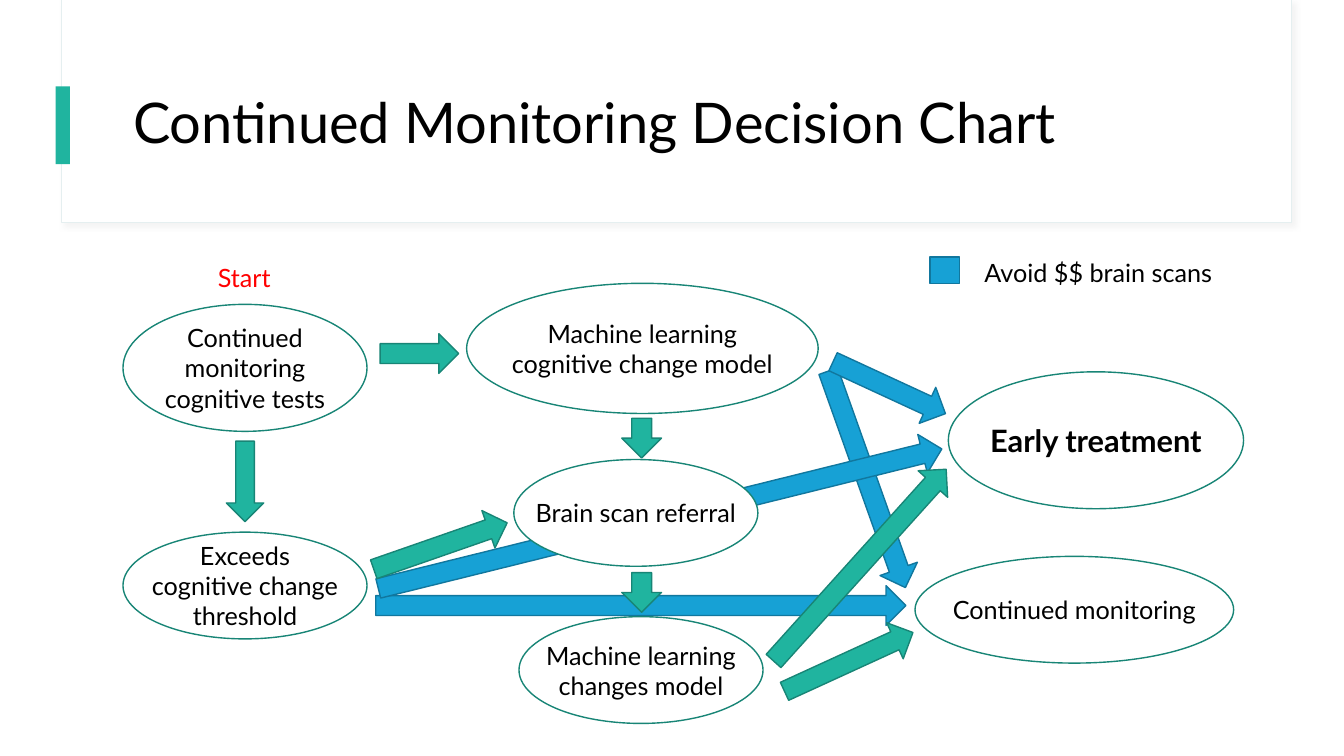
from lxml import etree
from pptx import Presentation
from pptx.dml.color import RGBColor
from pptx.enum.shapes import MSO_SHAPE
from pptx.enum.text import MSO_ANCHOR, MSO_AUTO_SIZE, PP_ALIGN
from pptx.util import Cm, Pt

RECTANGLE, ELLIPSE, ARROW = MSO_SHAPE.RECTANGLE, MSO_SHAPE.OVAL, MSO_SHAPE.RIGHT_ARROW
LEFT, CENTER = PP_ALIGN.LEFT, PP_ALIGN.CENTER
MIDDLE, NO_AUTOFIT = MSO_ANCHOR.MIDDLE, MSO_AUTO_SIZE.NONE
FONT = "Lato"
COLORS = {
    "white": "FFFFFF", "black": "000000", "red": "FF0000",
    "green": "20B49F", "green edge": "188576",
    "blue": "17A1D5", "blue edge": "11779E", "frame edge": "E5EFF0",
}
FRAME_SHADOW = """
<a:effectLst xmlns:a="http://schemas.openxmlformats.org/drawingml/2006/main">
  <a:outerShdw blurRad="50800" dist="38100" dir="2700000" algn="tl" rotWithShape="0">
    <a:srgbClr val="D9D9D9"><a:alpha val="30000"/></a:srgbClr>
  </a:outerShdw>
</a:effectLst>"""

presentation = Presentation()
presentation.slide_width, presentation.slide_height = Cm(33.87), Cm(19.05)
slide = presentation.slides.add_slide(presentation.slide_layouts[5])


def add_shape(kind, box, fill, edge=None, width=1, rotation=0):
    shape = slide.shapes.add_shape(kind, *map(Cm, box))
    shape.shadow.inherit = False
    shape.rotation = rotation
    shape.fill.solid()
    shape.fill.fore_color.rgb = RGBColor.from_string(COLORS[fill])
    if edge:
        shape.line.color.rgb = RGBColor.from_string(COLORS[edge])
        shape.line.width = Pt(width)
    else:
        shape.line.fill.background()
    return shape


def write_text(shape, text, size=18, color="black", bold=False, align=CENTER, wrap=False, spacing=1.0):
    frame = shape.text_frame
    frame.text = text
    frame.word_wrap = wrap
    frame.auto_size = NO_AUTOFIT
    frame.vertical_anchor = MIDDLE
    for paragraph in frame.paragraphs:
        paragraph.alignment = align
        paragraph.line_spacing = spacing
        paragraph.font.name = FONT
        paragraph.font.size = Pt(size)
        paragraph.font.bold = bold
        paragraph.font.color.rgb = RGBColor.from_string(COLORS[color])


title_frame = add_shape(RECTANGLE, (1.55, 0, 31.01, 5.61), "white", "frame edge", 0.75)
properties = title_frame.element.spPr
properties.remove(properties.find("{*}effectLst"))
properties.append(etree.fromstring(FRAME_SHADOW))
add_shape(RECTANGLE, (1.4, 2.18, 0.36, 1.96), "green")

title = slide.shapes.title
title.left, title.top, title.width, title.height = map(Cm, (3.1, 1.52, 28.24, 3.28))
write_text(title, "Continued Monitoring Decision Chart", size=40, align=LEFT, wrap=True, spacing=0.9)
title_frame.element.getparent().append(title.element)

scan_free_arrows = [
    (18.95, 11.58, 5.79, 1, 70.4),
    (9.47, 14.76, 13.36, 1, 0),
    (9.32, 12.57, 14.63, 1, 346.1),
    (20.85, 9.27, 3.12, 1, 24.8),
]
for *box, rotation in scan_free_arrows:
    add_shape(ARROW, box, "blue", "blue edge", rotation=rotation)

steps = [
    ("Continued\vmonitoring\ncognitive tests", (3.1, 7.67, 6.15, 3.2), {}),
    ("Exceeds\ncognitive change\vthreshold", (3.1, 13.41, 6.15, 2.69), {}),
    ("Machine learning\ncognitive change model", (11.76, 7.14, 8.86, 3.28), {}),
    ("Brain scan referral", (12.95, 11.58, 6.15, 2.69), {}),
    ("Machine learning\nchanges model", (13.08, 15.54, 6.15, 2.69), {}),
    ("Early treatment", (23.9, 9.37, 7.44, 3.45), {"size": 22, "bold": True}),
    ("Continued monitoring", (23.06, 14.02, 8.03, 2.69), {}),
]
for text, box, text_format in steps:
    write_text(add_shape(ELLIPSE, box, "white", "green edge"), text, **text_format)

process_arrows = [
    (5.16, 11.66, 2.03, 0.94, 90),
    (9.58, 8.41, 1.98, 1, 0),
    (15.67, 10.54, 1, 1, 90),
    (15.67, 14.43, 1, 1, 90),
    (18.42, 13.74, 6.5, 1, 312),
    (19.61, 16.18, 3.56, 1, 335.4),
    (9.32, 13.26, 3.56, 1, 340.8),
]
for *box, rotation in process_arrows:
    add_shape(ARROW, box, "green", "green edge", rotation=rotation)

add_shape(RECTANGLE, (23.44, 6.48, 0.74, 0.66), "blue", "blue edge")
labels = [
    ("Start", (5.23, 6.48, 1.85, 1.02), {"color": "red"}),
    ("Avoid $$ brain scans", (24.56, 6.35, 6.58, 1.02), {"align": LEFT}),
]
for text, box, text_format in labels:
    write_text(slide.shapes.add_textbox(*map(Cm, box)), text, **text_format)

presentation.save("out.pptx")
